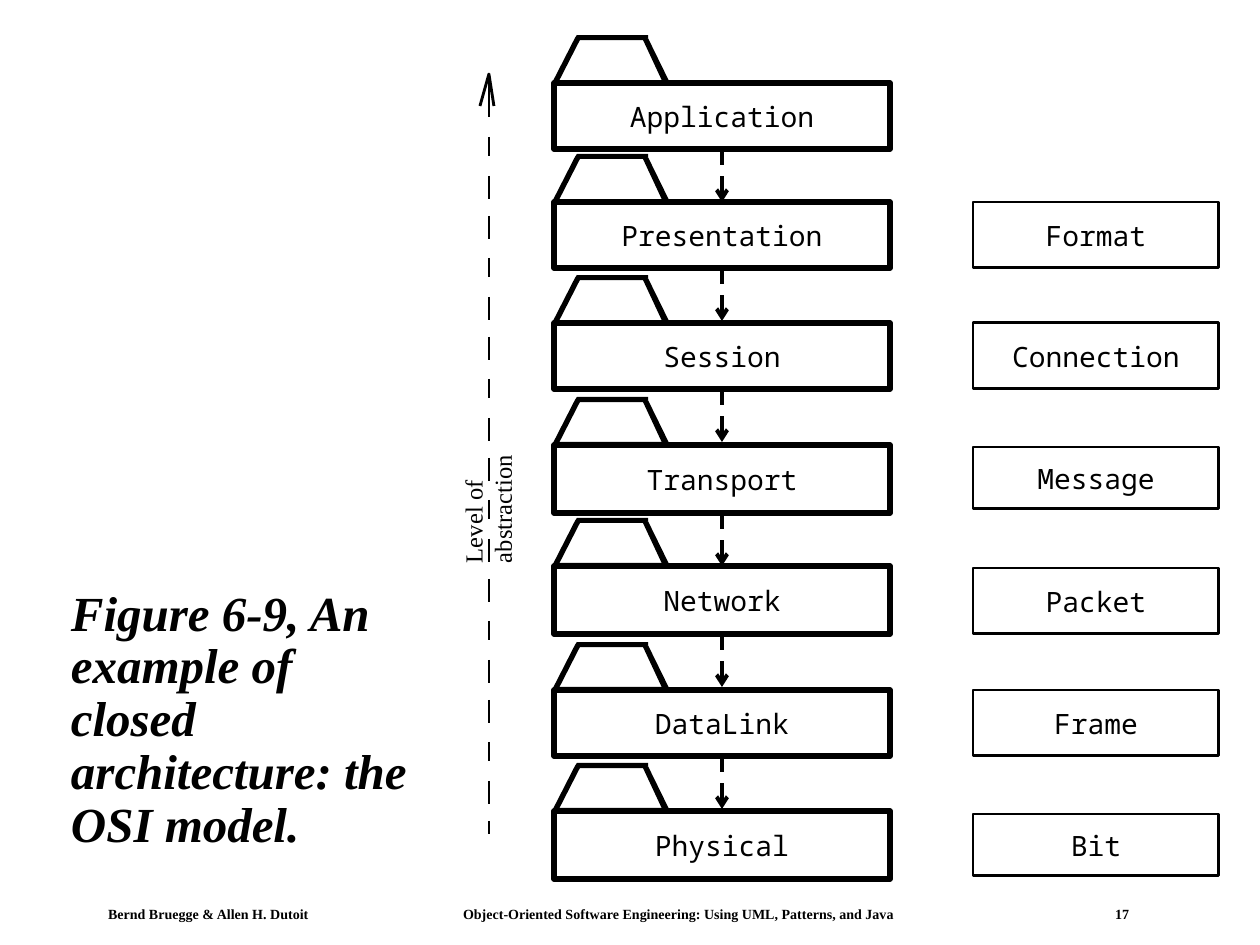
from dataclasses import dataclass
from typing import NamedTuple

from lxml import etree
from pptx import Presentation
from pptx.dml.color import RGBColor
from pptx.enum.dml import MSO_LINE
from pptx.enum.shapes import MSO_CONNECTOR, MSO_SHAPE
from pptx.enum.text import MSO_ANCHOR, PP_ALIGN
from pptx.oxml.ns import qn
from pptx.util import Pt

EMU_PER_PX = 914400 / 126
RECTANGLE = MSO_SHAPE.RECTANGLE
STRAIGHT = MSO_CONNECTOR.STRAIGHT
DASH = MSO_LINE.DASH
MIDDLE, TOP = MSO_ANCHOR.MIDDLE, MSO_ANCHOR.TOP
CENTER, LEFT = PP_ALIGN.CENTER, PP_ALIGN.LEFT


@dataclass(frozen=True)
class Theme:
    ink: RGBColor = RGBColor(0, 0, 0)
    serif: str = "Times New Roman"
    mono: str = "Noto Sans Mono"
    title: int = 28
    label: int = 16
    axis: int = 14
    footer: int = 8
    thick: float = 3.25
    medium: float = 2.25
    thin: float = 1.63


THEME = Theme()


class Area(NamedTuple):
    left: int
    top: int
    width: int
    height: int


@dataclass(frozen=True)
class Box:
    name: str
    top: int
    height: int = 66


LAYERS = [
    Box("Application", 83),
    Box("Presentation", 202),
    Box("Session", 323),
    Box("Transport", 445, 68),
    Box("Network", 566, 68),
    Box("DataLink", 690),
    Box("Physical", 811, 68),
]
SERVICES = [
    Box("Format", 202),
    Box("Connection", 323),
    Box("Message", 447, 62),
    Box("Packet", 568),
    Box("Frame", 690),
    Box("Bit", 814, 62),
]
LAYER_LEFT, LAYER_WIDTH = 554, 336
SERVICE_LEFT, SERVICE_WIDTH = 973, 246
FLOW_X, FLOW_LENGTH = 722, 53

FOLDER_LEFT, FOLDER_RISE = 552, 48
FOLDER_EDGES = [
    [(0, 48), (5, 50), (28, 5), (25, 0), (23, 3)],
    [(25, 0), (25, 5), (93, 5), (96, 3), (96, 0), (93, 0)],
    [(96, 3), (91, 5), (112, 50), (116, 50), (121, 50), (118, 48)],
    [(116, 50), (116, 45), (3, 45), (0, 48), (0, 50), (3, 50)],
]

AXIS_X, AXIS_TIP, AXIS_NECK, AXIS_END = 489, 74, 106, 834
DASH_START, DASH_PERIOD = 137, 121
DASH_CYCLE = [(0, 19), (39, 62), (79, 102)]


def px(length: float) -> int:
    return round(length * EMU_PER_PX)


def add_run(paragraph, text: str, font: str, size: int,
            bold: bool = False, italic: bool = False) -> None:
    run = paragraph.add_run()
    run.text = text
    run.font.name = font
    run.font.size = Pt(size)
    run.font.bold = bold
    run.font.italic = italic
    run.font.color.rgb = THEME.ink


def set_frame(frame, anchor, margin_x: int = 0, margin_y: int = 0,
              wrap: bool = True) -> None:
    frame.word_wrap = wrap
    frame.vertical_anchor = anchor
    frame.margin_left = frame.margin_right = px(margin_x)
    frame.margin_top = frame.margin_bottom = px(margin_y)


def add_text_area(slide, area: Area, anchor, margin_x: int = 0, margin_y: int = 0):
    holder = slide.shapes.add_textbox(*map(px, area))
    set_frame(holder.text_frame, anchor, margin_x, margin_y)
    paragraph = holder.text_frame.paragraphs[0]
    paragraph.alignment = LEFT
    return holder, paragraph


def add_box(slide, box: Box, left: int, width: int, weight: float) -> None:
    outline = slide.shapes.add_shape(
        RECTANGLE, *map(px, Area(left, box.top, width, box.height)))
    outline.shadow.inherit = False
    outline.fill.background()
    outline.line.color.rgb = THEME.ink
    outline.line.width = Pt(weight)
    set_frame(outline.text_frame, MIDDLE, wrap=False)
    label = outline.text_frame.paragraphs[0]
    label.alignment = CENTER
    add_run(label, box.name, THEME.mono, THEME.label)


def add_path(slide, points: list[tuple[int, int]], closed: bool):
    builder = slide.shapes.build_freeform(*points[0], scale=EMU_PER_PX)
    builder.add_line_segments(points[1:], close=closed)
    path = builder.convert_to_shape()
    path.shadow.inherit = False
    return path


def add_folder_tab(slide, top: int) -> None:
    for edge in FOLDER_EDGES:
        strip = add_path(
            slide, [(FOLDER_LEFT + x, top + y) for x, y in edge], closed=True)
        strip.fill.solid()
        strip.fill.fore_color.rgb = THEME.ink
        strip.line.fill.background()


def add_vertical(slide, x: int, start: int, end: int, weight: float):
    stroke = slide.shapes.add_connector(STRAIGHT, px(x), px(start), px(x), px(end))
    stroke.line.color.rgb = THEME.ink
    stroke.line.width = Pt(weight)
    etree.SubElement(stroke._element.spPr, qn("a:effectLst"))
    return stroke


def add_flow(slide, start: int) -> None:
    flow = add_vertical(slide, FLOW_X, start, start + FLOW_LENGTH, THEME.medium)
    flow.line.dash_style = DASH
    etree.SubElement(flow.line._get_or_add_ln(), qn("a:tailEnd"), type="arrow")


def add_axis(slide) -> None:
    add_vertical(slide, AXIS_X, AXIS_TIP, AXIS_NECK, THEME.thin)
    head = add_path(
        slide, [(480, AXIS_NECK), (AXIS_X, AXIS_TIP), (494, AXIS_NECK)], closed=False)
    head.fill.background()
    head.line.color.rgb = THEME.ink
    head.line.width = Pt(THEME.thin)
    add_vertical(slide, AXIS_X, AXIS_NECK, AXIS_NECK + 11, THEME.thin)
    for cycle in range(6):
        origin = DASH_START + cycle * DASH_PERIOD
        for start, end in DASH_CYCLE:
            add_vertical(slide, AXIS_X, origin + start,
                         min(origin + end, AXIS_END), THEME.thin)
    caption, line = add_text_area(slide, Area(430, 479, 112, 56), TOP)
    caption.rotation = 270
    add_run(line, "Level of abstraction", THEME.serif, THEME.axis)


def add_footer(slide) -> None:
    _, line = add_text_area(slide, Area(98, 901, 1042, 26), TOP, 10, 5)
    stops = etree.SubElement(line._p.get_or_add_pPr(), qn("a:tabLst"))
    for position in (355, 1007):
        etree.SubElement(stops, qn("a:tab"), pos=str(px(position)), algn="l")
    for text in (
        "Bernd Bruegge & Allen H. Dutoit",
        "\tObject-Oriented Software Engineering: Using UML, Patterns, and Java",
        "\t17",
    ):
        add_run(line, text, THEME.serif, THEME.footer, bold=True)


def main() -> None:
    deck = Presentation()
    deck.slide_width, deck.slide_height = px(1260), px(945)
    slide = deck.slides.add_slide(deck.slide_layouts[6])

    add_footer(slide)
    for layer in LAYERS:
        add_box(slide, layer, LAYER_LEFT, LAYER_WIDTH, THEME.thick)
        add_folder_tab(slide, layer.top - FOLDER_RISE)
    add_axis(slide)
    for service in SERVICES:
        add_box(slide, service, SERVICE_LEFT, SERVICE_WIDTH, THEME.thin)
    for layer in LAYERS[:-1]:
        add_flow(slide, layer.top + layer.height)

    _, title = add_text_area(slide, Area(58, 580, 370, 282), MIDDLE, 13, 6)
    title.line_spacing = 0.9
    add_run(title, "Figure 6-9, An example of closed architecture: the OSI model.",
            THEME.serif, THEME.title, bold=True, italic=True)
    deck.save("out.pptx")


if __name__ == "__main__":
    main()
